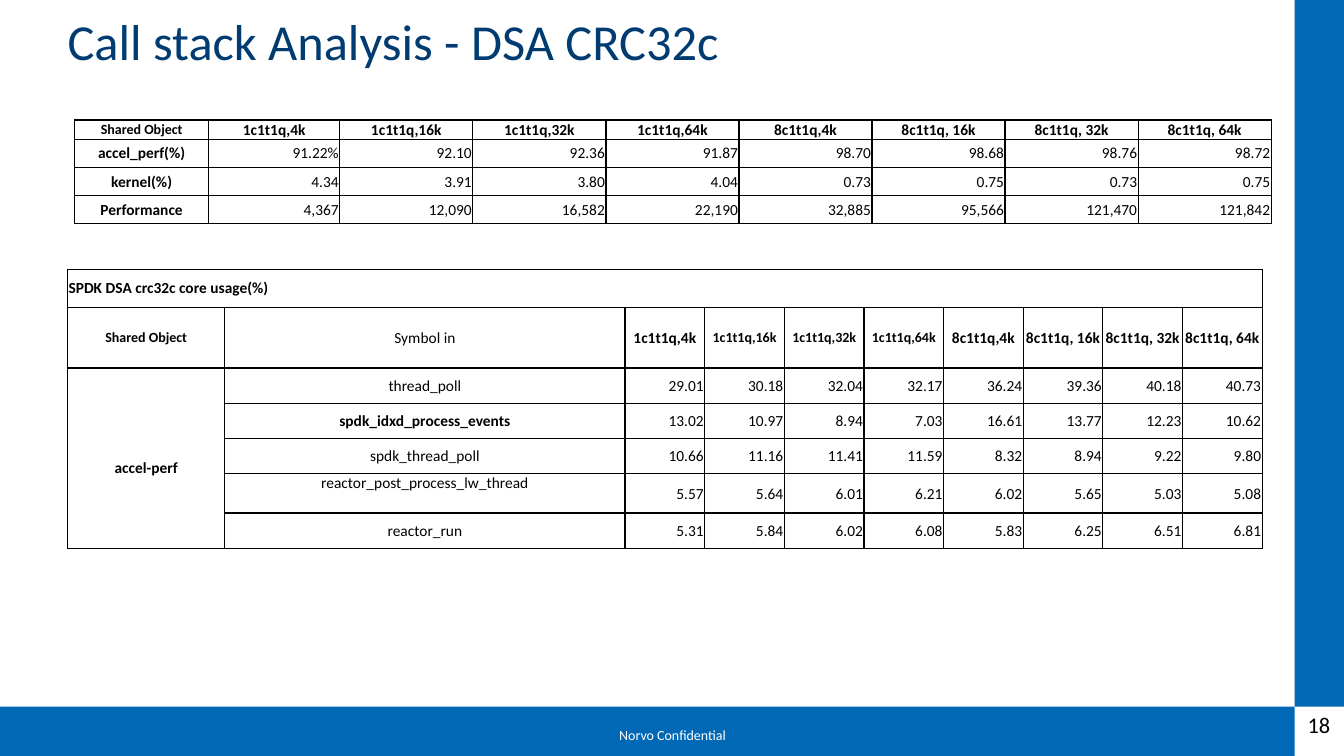
"""Build the call stack analysis slide with its two measurement tables."""
from lxml.etree import SubElement
from pptx import Presentation
from pptx.dml.color import RGBColor
from pptx.enum.shapes import MSO_SHAPE
from pptx.enum.text import MSO_ANCHOR, MSO_AUTO_SIZE, PP_ALIGN
from pptx.oxml.ns import qn
from pptx.util import Inches, Pt

BLUE = RGBColor(0x00, 0x68, 0xB5)
NAVY = RGBColor(0x00, 0x3C, 0x71)
BLACK = RGBColor(0, 0, 0)
WHITE = RGBColor(255, 255, 255)


def format_text(frame, size, color, align, bold=False):
    for para in frame.paragraphs:
        para.alignment = align
        para.line_spacing = 0.9
        for span in para.runs:
            span.font.name = "Calibri"
            span.font.size = Pt(size)
            span.font.bold = bold
            span.font.color.rgb = color


def add_grid(left, top, widths, heights, rows, styles):
    frame = page.shapes.add_table(len(rows), len(widths), Inches(left), Inches(top),
                                  Inches(sum(widths)), Inches(sum(heights)))
    table = frame.table
    table.first_row = table.horz_banding = False
    for column, width in zip(table.columns, widths):
        column.width = Inches(width)
    for row, height in zip(table.rows, heights):
        row.height = Inches(height)
    for r, values in enumerate(rows):
        for c, value in enumerate(values):
            cell = table.cell(r, c)
            properties = cell._tc.get_or_add_tcPr()
            for side in ("a:lnL", "a:lnR", "a:lnT", "a:lnB"):
                line = SubElement(properties, qn(side), w=str(Pt(1)))
                SubElement(SubElement(line, qn("a:solidFill")), qn("a:srgbClr"), val=str(BLACK))
            cell.fill.solid()
            cell.fill.fore_color.rgb = WHITE
            cell.vertical_anchor = MSO_ANCHOR.MIDDLE
            cell.margin_left = cell.margin_right = cell.margin_top = Inches(0.01)
            cell.margin_bottom = 0
            cell.text_frame.text = value
            size, align, bold = styles(r, c, value)
            format_text(cell.text_frame, size, BLACK, align, bold)
    return table


def is_number(value):
    return value.replace(".", "").replace(",", "").replace("%", "").isdigit()


deck = Presentation()
deck.slide_width, deck.slide_height = Inches(13.33), Inches(7.5)
page = deck.slides.add_slide(deck.slide_layouts[5])

for left, top, width, height in ((0, 7.01, 12.84, 0.49), (12.84, 0, 0.49, 7.01)):
    band = page.shapes.add_shape(MSO_SHAPE.RECTANGLE, Inches(left), Inches(top),
                                 Inches(width), Inches(height))
    band.shadow.inherit = False
    band.fill.solid()
    band.fill.fore_color.rgb = BLUE
    band.line.fill.background()

title = page.shapes.title
title.left, title.top = Inches(0.67), Inches(0.17)
title.width, title.height = Inches(12), Inches(0.68)
frame = title.text_frame
frame.text = "Call stack Analysis - DSA CRC32c"
frame.margin_left = frame.margin_right = frame.margin_top = frame.margin_bottom = 0
frame.vertical_anchor = MSO_ANCHOR.TOP
frame.auto_size = MSO_AUTO_SIZE.NONE
format_text(frame, 36, NAVY, PP_ALIGN.LEFT)

for text, left, top, width, height, size, color, align in (
    ("Norvo Confidential", 6.02, 7.18, 1.3, 0.25, 10, WHITE, PP_ALIGN.CENTER),
    ("18", 12.87, 7.04, 0.47, 0.46, 16, BLACK, PP_ALIGN.LEFT),
):
    box = page.shapes.add_textbox(Inches(left), Inches(top), Inches(width), Inches(height))
    box.text_frame.text = text
    format_text(box.text_frame, size, color, align)

runs = ["1c1t1q,4k", "1c1t1q,16k", "1c1t1q,32k", "1c1t1q,64k",
        "8c1t1q,4k", "8c1t1q, 16k", "8c1t1q, 32k", "8c1t1q, 64k"]
summary_rows = [
    ["Shared Object", *runs],
    ["accel_perf(%)", "91.22%", "92.10", "92.36", "91.87", "98.70", "98.68", "98.76", "98.72"],
    ["kernel(%)", "4.34", "3.91", "3.80", "4.04", "0.73", "0.75", "0.73", "0.75"],
    ["Performance", "4,367", "12,090", "16,582", "22,190",
     "32,885", "95,566", "121,470", "121,842"],
]
usage_rows = [
    ["SPDK DSA crc32c core usage(%)"] + [""] * 9,
    ["Shared Object", "Symbol in", *runs],
    ["accel-perf", "thread_poll",
     "29.01", "30.18", "32.04", "32.17", "36.24", "39.36", "40.18", "40.73"],
    ["", "spdk_idxd_process_events",
     "13.02", "10.97", "8.94", "7.03", "16.61", "13.77", "12.23", "10.62"],
    ["", "spdk_thread_poll",
     "10.66", "11.16", "11.41", "11.59", "8.32", "8.94", "9.22", "9.80"],
    ["", "reactor_post_process_lw_thread",
     "5.57", "5.64", "6.01", "6.21", "6.02", "5.65", "5.03", "5.08"],
    ["", "reactor_run",
     "5.31", "5.84", "6.02", "6.08", "5.83", "6.25", "6.51", "6.81"],
]


def summary_style(r, c, value):
    align = PP_ALIGN.RIGHT if is_number(value) else PP_ALIGN.CENTER
    return (10 if r == c == 0 else 11), align, r == 0 or c == 0


def usage_style(r, c, value):
    if r == 0:
        return 11, PP_ALIGN.LEFT, True
    align = PP_ALIGN.RIGHT if is_number(value) else PP_ALIGN.CENTER
    bold = c == 0 or (r == 1 and c > 1) or value == "spdk_idxd_process_events"
    return (10 if r == 1 and c in (0, 3, 4, 5) else 11), align, bold


add_grid(0.74, 1.19, [1.33, 1.3] + [1.32] * 7, [0.19] + [0.28] * 3, summary_rows, summary_style)
usage = add_grid(0.67, 2.67, [1.56, 3.97] + [0.79] * 8,
                 [0.38, 0.6, 0.35, 0.35, 0.35, 0.39, 0.35], usage_rows, usage_style)
usage.cell(0, 0).merge(usage.cell(0, 9))
usage.cell(2, 0).merge(usage.cell(6, 0))
usage.cell(2, 0).margin_top = Inches(0.2)
usage.cell(5, 1).vertical_anchor = MSO_ANCHOR.TOP

deck.save("out.pptx")
